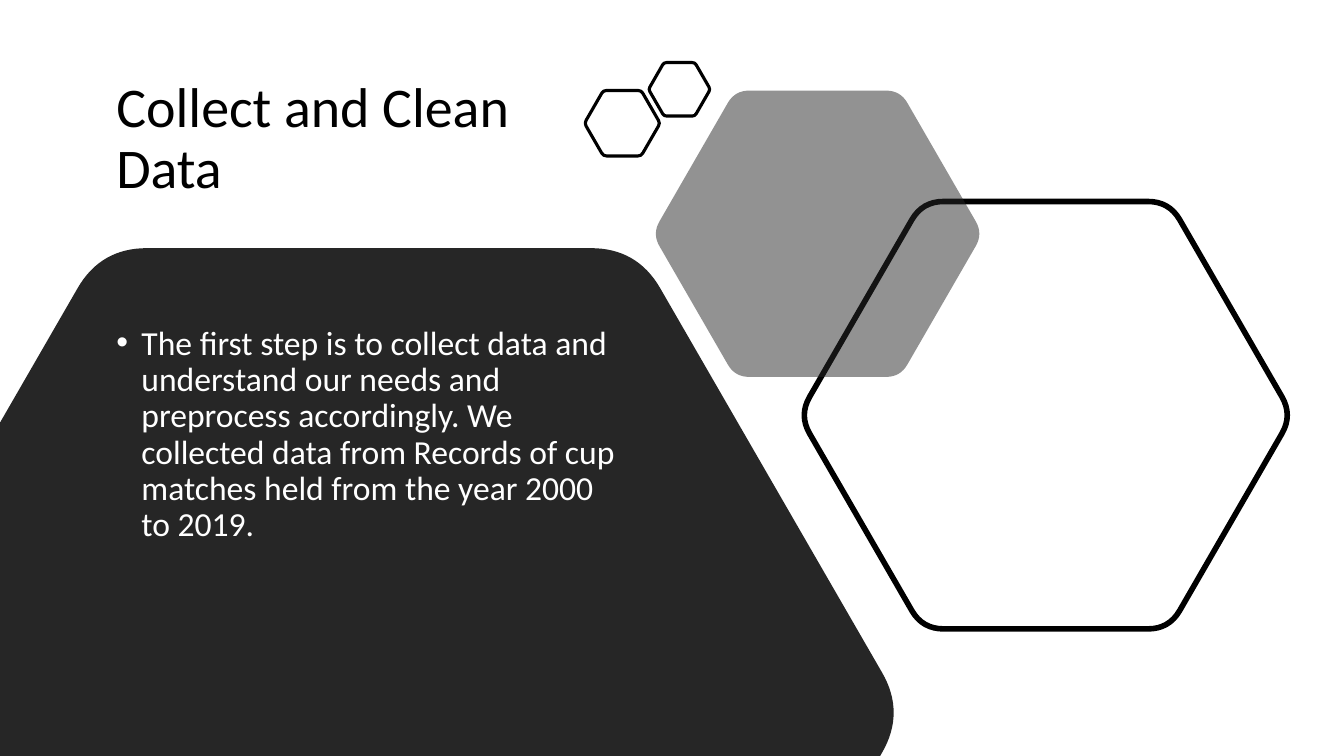
import math
from lxml import etree
from pptx import Presentation
from pptx import util as u
from pptx.dml.color import RGBColor
from pptx.enum import text
from pptx.oxml import ns

WIDTH, HEIGHT = 960, 540
BLACK, DARK, WHITE = "000000", "262626", "FFFFFF"


def colour(value):
    return RGBColor.from_string(value)


def apply(target, values):
    for name, value in values.items():
        setattr(target, name, value)


def rounded_hexagon(x, y, height, cut=0.086):
    """Start, middle and end of each rounded corner; cut is the part of a side it takes.

    The third value of a point tells whether it is the middle of a curve.
    """
    side = height / math.sqrt(3)
    corners = [(x + side * math.cos(k * math.pi / 3), y + side * math.sin(k * math.pi / 3))
               for k in range(6)]
    points = []
    for k, corner in enumerate(corners):
        before, after = corners[k - 1], corners[(k + 1) % 6]
        for a, b, middle in ((cut, 0, False), (cut / 4, cut / 4, True), (0, cut, False)):
            px, py = (c + a * (p - c) + b * (n - c) for p, c, n in zip(before, corner, after))
            points.append((px, py, middle))
    return points


def clip(points, axis, limit, sign):
    """Keep the part of a polygon where sign * (coordinate - limit) is not negative."""
    kept = []
    for start, end in zip(points, points[1:] + points[:1]):
        from_edge = sign * (start[axis] - limit)
        to_edge = sign * (end[axis] - limit)
        if from_edge >= 0:
            kept.append(start)
        if from_edge * to_edge < 0:
            t = from_edge / (from_edge - to_edge)
            px, py = (s + t * (e - s) for s, e in zip(start[:2], end[:2]))
            kept.append((px, py, False))
    return kept


def bend(shape, points):
    """Turn the two lines through each curve middle into one quadratic curve."""
    outline = shape._element.find(".//" + ns.qn("a:path"))
    steps = list(outline)
    for i, point in enumerate(points):
        if not point[2]:
            continue
        start, middle, end = (step[0] for step in steps[i - 1:i + 2])
        for axis in "xy":
            s, m, e = (int(pt.get(axis)) for pt in (start, middle, end))
            middle.set(axis, str(2 * m - (s + e) // 2))
        curve = etree.SubElement(outline, ns.qn("a:quadBezTo"))
        outline.replace(steps[i], curve)
        outline.remove(steps[i + 1])
        curve.extend([middle, end])


class SlideBuilder:
    font = "Calibri"

    def __init__(self, page):
        self.page = page

    def hexagon(self, x, y, height, fill=None, alpha=None, line=None):
        points = clip(rounded_hexagon(x, y, height), 0, 0, 1)
        points = clip(points, 1, HEIGHT, -1)
        outline = [(u.Pt(px), u.Pt(py)) for px, py, _ in points]
        builder = self.page.shapes.build_freeform(*outline[0])
        builder.add_line_segments(outline[1:], close=True)
        shape = builder.convert_to_shape()
        bend(shape, points)
        shape.shadow.inherit = False
        if fill:
            shape.fill.solid()
            shape.fill.fore_color.rgb = colour(fill)
        else:
            shape.fill.background()
        if alpha:
            tone = shape._element.spPr.find(".//" + ns.qn("a:srgbClr"))
            etree.SubElement(tone, ns.qn("a:alpha"), val=str(alpha * 1000))
        if line:
            shape.line.color.rgb = colour(BLACK)
            shape.line.width = u.Pt(line)
        else:
            shape.line.fill.background()

    def text(self, place, words, size, tone, anchor, before=0, bullet=None):
        box = self.page.shapes.add_textbox(*map(u.Pt, place))
        apply(box.text_frame, {"word_wrap": True, "vertical_anchor": anchor})
        para = box.text_frame.paragraphs[0]
        apply(para, {"line_spacing": 0.9, "space_before": u.Pt(before)})
        if bullet:
            props = para._p.get_or_add_pPr()
            props.set("marL", str(u.Pt(18)))
            props.set("indent", str(u.Pt(-18)))
            etree.SubElement(props, ns.qn("a:buFont"), typeface="Arial")
            etree.SubElement(props, ns.qn("a:buChar"), char=bullet)
        span = para.add_run()
        span.text = words
        apply(span.font, {"name": self.font, "size": u.Pt(size)})
        span.font.color.rgb = colour(tone)


def main():
    deck = Presentation()
    apply(deck, {"slide_width": u.Pt(WIDTH), "slide_height": u.Pt(HEIGHT)})
    slide = SlideBuilder(deck.slides.add_slide(deck.slide_layouts[6]))

    slide.text((76, 35.3, 337, 129.6), "Collect and Clean Data", 40, BLACK,
               text.MSO_ANCHOR.MIDDLE)
    slide.hexagon(263.5, 509, 663.5, fill=DARK)
    slide.hexagon(747, 296.6, 305.3, line=4)
    slide.hexagon(584, 167, 204.5, fill=DARK, alpha=50)
    slide.hexagon(444.5, 88, 46.8, line=2.25)
    slide.hexagon(485.3, 63.8, 38.2, line=2.25)
    slide.text((76, 229.5, 374, 243.4),
               "The first step is to collect data and understand our needs and preprocess "
               "accordingly. We collected data from Records of cup matches held from the "
               "year 2000 to 2019.", 24, WHITE, text.MSO_ANCHOR.TOP, before=10, bullet="•")
    deck.save("out.pptx")


if __name__ == "__main__":
    main()
